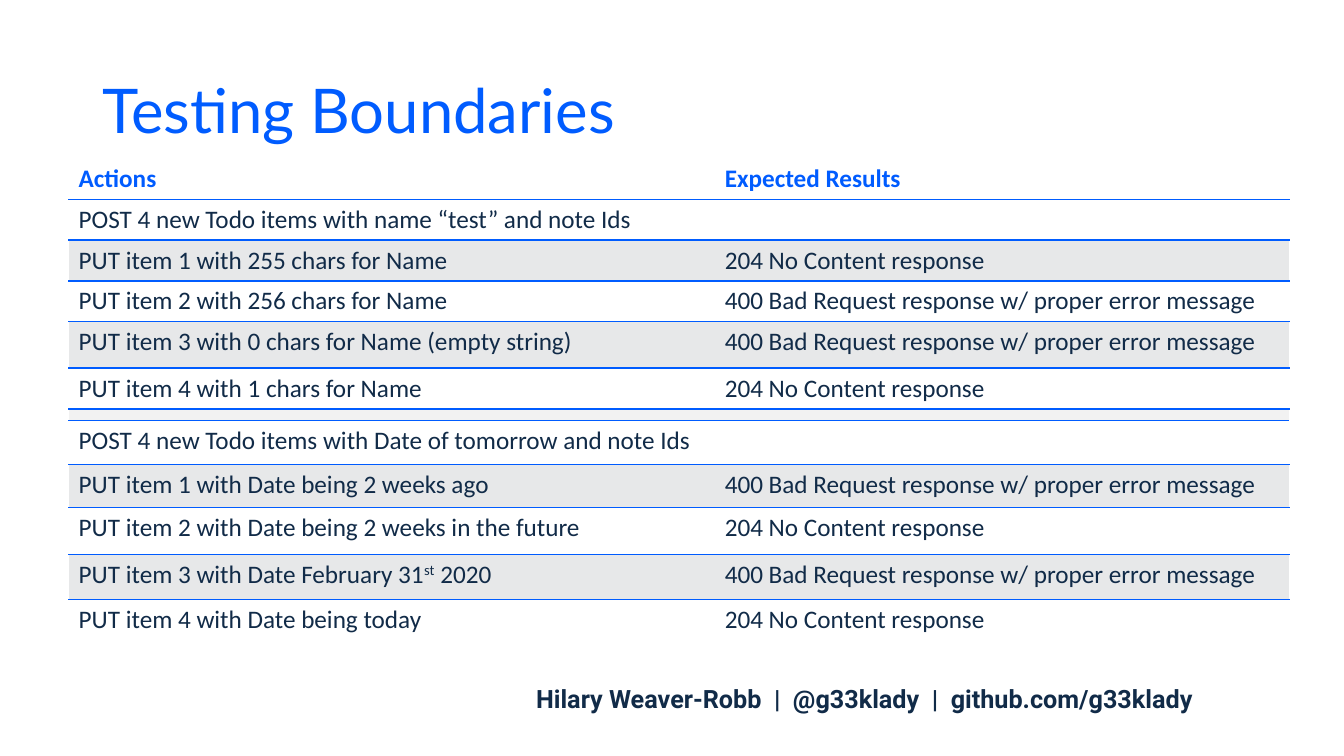
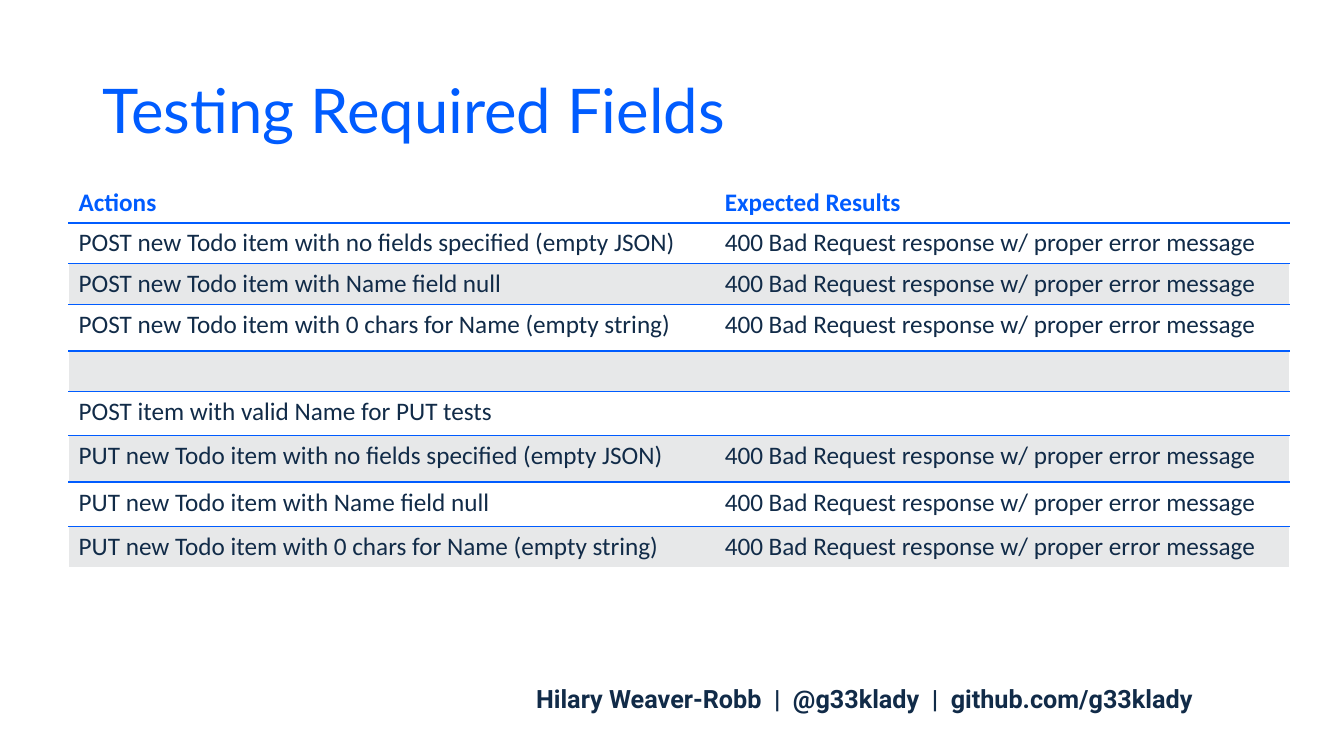
from pptx import Presentation
from pptx.dml.color import RGBColor
from pptx.enum import text as t
from pptx.oxml import parse_xml
from pptx.oxml.ns import nsdecls
from pptx.util import Pt

BLUE, NAVY, WHITE, GREY, PALE = "005CFF", "112B48", "FFFFFF", "E7E8E9", "F2F2F2"
FOOTER = "Hilary Weaver-Robb  |  @g33klady  |  github.com/g33klady"
HEAD = ("Actions", "Expected Results")
OK = "204 No Content response"
BAD = "400 Bad Request response w/ proper error message"
LEFT, COLS = 49, (461.5, 410.5)
ROW, GAP = 29.25, 8.5

# Each row: action, result and, where taller than ROW, its height.
# None is a thin merged gap; ^ marks the superscript part.
SLIDES = [
    ("Testing Boundaries", 113, [
        HEAD,
        ("POST 4 new Todo items with name “test” and note Ids", ""),
        ("PUT item 1 with 255 chars for Name", OK),
        ("PUT item 2 with 256 chars for Name", BAD),
        ("PUT item 3 with 0 chars for Name (empty string)", BAD, 33),
        ("PUT item 4 with 1 chars for Name", OK),
        None,
        ("POST 4 new Todo items with Date of tomorrow and note Ids", "", 31),
        ("PUT item 1 with Date being 2 weeks ago", BAD, 31),
        ("PUT item 2 with Date being 2 weeks in the future", OK, 33.5),
        ("PUT item 3 with Date February 31^st^ 2020", BAD, 32),
        ("PUT item 4 with Date being today", OK),
    ]),
    ("Testing Required Fields", 130, [
        HEAD,
        ("POST new Todo item with no fields specified (empty JSON)", BAD),
        ("POST new Todo item with Name field null", BAD),
        ("POST new Todo item with 0 chars for Name (empty string)", BAD, 33),
        ("", ""),
        ("POST item with valid Name for PUT tests", "", 31),
        ("PUT new Todo item with no fields specified (empty JSON)", BAD, 33.5),
        ("PUT new Todo item with Name field null", BAD, 32),
        ("PUT new Todo item with 0 chars for Name (empty string)", BAD),
    ]),
]


def rgb(code):
    return RGBColor.from_string(code)


def style(para, name, size, color, bold=False):
    font = para.font
    font.name, font.size, font.bold = name, Pt(size), bold
    font.color.rgb = rgb(color)


def add_text(slide, words, box, *look):
    shape = slide.shapes.add_textbox(*map(Pt, box))
    frame = shape.text_frame
    frame.word_wrap = True
    para = frame.paragraphs[0]
    para.text = words
    style(para, *look)
    return frame


def edge(cell, sides):
    """Set borders from (side, colour) pairs in L, R, T, B order; None hides one."""
    props = cell._tc.get_or_add_tcPr()
    for i, (side, color) in enumerate(sides):
        fill = (f'<a:solidFill><a:srgbClr val="{color}"/></a:solidFill>'
                if color else "<a:noFill/>")
        props.insert(i, parse_xml(
            f'<a:ln{side} {nsdecls("a")} w="{Pt(1)}">{fill}</a:ln{side}>'))


def fill_cell(cell, words, size, color, bold):
    para = cell.text_frame.paragraphs[0]
    style(para, "Calibri", size, color, bold)
    if not words:
        para._p.append(parse_xml(
            f'<a:endParaRPr {nsdecls("a")} sz="{size * 100}"/>'))
        return
    for i, part in enumerate(words.split("^")):
        run = para.add_run()
        run.text = part
        if i % 2:
            run._r.get_or_add_rPr().set("baseline", "30000")


def add_table(slide, top, rows):
    highs = [GAP if row is None else row[2] if len(row) > 2 else ROW
             for row in rows]
    table = slide.shapes.add_table(
        len(rows), len(COLS), Pt(LEFT), Pt(top),
        Pt(sum(COLS)), Pt(sum(highs))).table
    table.first_row = table.horz_banding = False
    for col, width in zip(table.columns, COLS):
        col.width = Pt(width)
    last = len(rows) - 1
    for r, (row, high) in enumerate(zip(rows, highs)):
        table.rows[r].height = Pt(high)
        back = PALE if row is None else GREY if r and r % 2 == 0 else WHITE
        for c in range(len(COLS)):
            cell = table.cell(r, c)
            cell.fill.solid()
            cell.fill.fore_color.rgb = rgb(back)
            edge(cell, [("L", None if c else WHITE),
                        ("R", WHITE if c else None),
                        ("T", BLUE if r else WHITE),
                        ("B", BLUE if r < last else WHITE)])
            fill_cell(cell, row[c] if row else "", 18 if row else 1,
                      NAVY if r else BLUE, r == 0)
        if row is None:
            table.cell(r, 0).merge(table.cell(r, len(COLS) - 1))


def add_slide(deck, title, top, rows):
    slide = deck.slides.add_slide(deck.slide_layouts[6])
    frame = add_text(slide, title, (66, 29, 828, 104), "Lato", 44, BLUE)
    frame.vertical_anchor = t.MSO_ANCHOR.MIDDLE
    frame.paragraphs[0].line_spacing = 0.9
    frame = add_text(slide, FOOTER, (293, 484.5, 649, 29),
                     "Roboto", 18, NAVY, True)
    frame.paragraphs[0].alignment = t.PP_ALIGN.CENTER
    add_table(slide, top, rows)


def main():
    deck = Presentation()
    deck.slide_width, deck.slide_height = Pt(960), Pt(540)
    for item in SLIDES:
        add_slide(deck, *item)
    deck.save("out.pptx")


if __name__ == "__main__":
    main()
